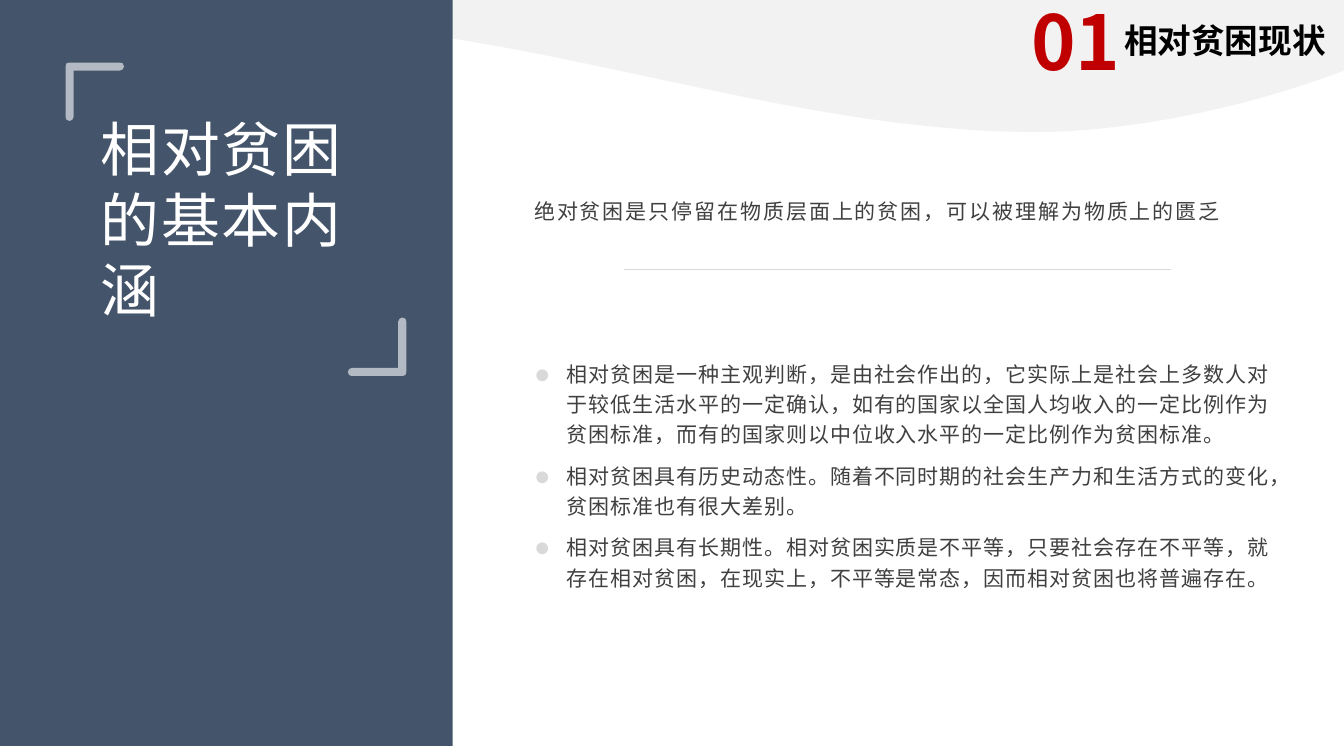
from dataclasses import dataclass
from typing import Optional

import lxml.etree
import pptx
import pptx.dml.color
import pptx.enum.shapes
import pptx.enum.text
import pptx.oxml.ns
import pptx.util
from pptx.util import Inches

COLORS = {
    "wave": "F2F2F2",
    "panel": "44546A",
    "white": "FFFFFF",
    "body": "404040",
    "rule": "D9D9D9",
    "number": "C00000",
    "black": "000000",
}
Point = tuple[float, float]
# A segment holds one point for a straight line, three for a cubic curve.
Segment = tuple[Point, ...]


@dataclass
class TextStyle:
    font: str
    size: float
    color: str
    spacing: float = 0
    bold: bool = False
    line_spacing: float = 1.0
    space_after: float = 0
    centered: bool = False
    bulleted: bool = False


@dataclass
class TextBlock:
    left: float
    top: float
    width: float
    height: float
    paragraphs: list[str]
    style: TextStyle
    middle: bool = False


WAVE: list[Segment] = [
    ((10.19, 1.31),),
    ((11.17, 1.32), (12.36, 1.07), (13.33, 0.7)),
    ((13.33, 0),),
    ((0, 0),),
    ((0, 0.7),),
    ((3.47, -0.64), (6.72, 1.27), (10.19, 1.31)),
]
BRACKET: list[Segment] = [
    ((0.69, 0.62),),
    ((1.19, 0.62),),
    ((1.21, 0.62), (1.23, 0.63), (1.23, 0.66)),
    ((1.23, 0.68), (1.21, 0.7), (1.19, 0.7)),
    ((0.73, 0.7),),
    ((0.73, 1.16),),
    ((0.73, 1.18), (0.71, 1.2), (0.69, 1.2)),
    ((0.66, 1.2), (0.65, 1.18), (0.65, 1.16)),
    ((0.65, 0.66),),
    ((0.65, 0.63), (0.66, 0.62), (0.69, 0.62)),
]
# The closing bracket is the opening one turned by half a circle.
CLOSING_BRACKET: list[Segment] = [
    tuple((4.68 - x, 4.35 - y) for x, y in segment) for segment in BRACKET
]

TITLE = TextBlock(0.9, 0.75, 2.86, 2.84, ["相对贫困的基本内涵"],
                  TextStyle("Arial", 42, "white", spacing=1.2, space_after=8), middle=True)
TEXT_BLOCKS = [
    TextBlock(5.2, 0.65, 7.6, 2.83,
              ["绝对贫困是只停留在物质层面上的贫困，可以被理解为物质上的匮乏"],
              TextStyle("Arial", 15, "body", spacing=1.4, line_spacing=1.2, space_after=8),
              middle=True),
    TextBlock(5.2, 3.28, 7.6, 2.83,
              ["相对贫困是一种主观判断，是由社会作出的，它实际上是社会上多数人对于较低生活水平的一定确认，"
               "如有的国家以全国人均收入的一定比例作为贫困标准，而有的国家则以中位收入水平的一定比例作为贫困标准。",
               "相对贫困具有历史动态性。随着不同时期的社会生产力和生活方式的变化，贫困标准也有很大差别。",
               "相对贫困具有长期性。相对贫困实质是不平等，只要社会存在不平等，就存在相对贫困，"
               "在现实上，不平等是常态，因而相对贫困也将普遍存在。"],
              TextStyle("Arial", 15, "body", spacing=0.7, line_spacing=1.2, space_after=8,
                        bulleted=True),
              middle=True),
    TextBlock(9.99, -0.1, 1.36, 1.01, ["01"],
              TextStyle("Noto Sans CJK SC", 54, "number", bold=True, centered=True)),
    TextBlock(11.05, 0.15, 2.54, 0.5, ["相对贫困现状"],
              TextStyle("Noto Sans CJK SC", 24, "black", bold=True)),
]


def rgb(name: str) -> pptx.dml.color.RGBColor:
    return pptx.dml.color.RGBColor.from_string(COLORS[name])


def add_child(parent, tag: str, **attributes: str):
    child = lxml.etree.SubElement(parent, pptx.oxml.ns.qn(tag))
    for name, value in attributes.items():
        child.set(name, value)
    return child


def fill_plain(shape, color: str, opacity: Optional[int] = None) -> None:
    shape.shadow.inherit = False
    shape.fill.solid()
    shape.fill.fore_color.rgb = rgb(color)
    shape.line.fill.background()
    if opacity is not None:
        color_element = next(shape.element.iter(pptx.oxml.ns.qn("a:srgbClr")))
        add_child(color_element, "a:alpha", val=str(opacity * 1000))


def add_outline(slide, outline: list[Segment], color: str,
                opacity: Optional[int] = None) -> None:
    ends = [(Inches(segment[-1][0]), Inches(segment[-1][1])) for segment in outline]
    builder = slide.shapes.build_freeform(*ends[0])
    builder.add_line_segments(ends[1:], close=True)
    shape = builder.convert_to_shape()
    fill_plain(shape, color, opacity)

    # Turn the straight steps of curved segments into cubic curves
    steps = list(shape.element.iter(pptx.oxml.ns.qn("a:lnTo")))
    for step, segment in zip(steps, outline[1:]):
        if len(segment) == 3:
            curve = add_child(step.getparent(), "a:cubicBezTo")
            for x, y in segment:
                add_child(curve, "a:pt", x=str(Inches(x) - shape.left),
                          y=str(Inches(y) - shape.top))
            step.getparent().replace(step, curve)


def format_paragraph(paragraph, style: TextStyle) -> None:
    properties = paragraph._p.get_or_add_pPr()
    if style.bulleted:
        properties.set("marL", str(Inches(0.32)))
        properties.set("indent", str(Inches(-0.32)))
        add_child(add_child(properties, "a:buClr"), "a:srgbClr", val=COLORS["rule"])
        add_child(properties, "a:buSzPct", val="130000")
        add_child(properties, "a:buFont", typeface=style.font)
        add_child(properties, "a:buChar", char="●")
    alignments = pptx.enum.text.PP_ALIGN
    paragraph.alignment = alignments.CENTER if style.centered else alignments.LEFT
    paragraph.line_spacing = style.line_spacing
    paragraph.space_after = pptx.util.Pt(style.space_after)
    for run in paragraph.runs:
        run.font.name = style.font
        run.font.size = pptx.util.Pt(style.size)
        run.font.bold = style.bold
        run.font.color.rgb = rgb(style.color)
        run_properties = run._r.get_or_add_rPr()
        run_properties.set("spc", str(round(style.spacing * 100)))
        add_child(run_properties, "a:ea", typeface=style.font)


def write_block(shape, block: TextBlock) -> None:
    shape.left, shape.top = Inches(block.left), Inches(block.top)
    shape.width, shape.height = Inches(block.width), Inches(block.height)
    frame = shape.text_frame
    frame.text = "\n".join(block.paragraphs)
    frame.word_wrap = True
    frame.auto_size = pptx.enum.text.MSO_AUTO_SIZE.NONE
    anchors = pptx.enum.text.MSO_ANCHOR
    frame.vertical_anchor = anchors.MIDDLE if block.middle else anchors.TOP
    for paragraph in frame.paragraphs:
        format_paragraph(paragraph, block.style)


def main() -> None:
    presentation = pptx.Presentation()
    presentation.slide_width, presentation.slide_height = Inches(13.33), Inches(7.5)
    slide = presentation.slides.add_slide(presentation.slide_layouts.get_by_name("Title Only"))
    shapes = slide.shapes

    # Background wave and side panel
    add_outline(slide, WAVE, "wave")
    panel = shapes.add_shape(pptx.enum.shapes.MSO_SHAPE.RECTANGLE,
                             Inches(-0.19), Inches(-0.1), Inches(4.68), Inches(7.5))
    fill_plain(panel, "panel")

    # Title between its brackets, brought in front of the panel
    for bracket in (BRACKET, CLOSING_BRACKET):
        add_outline(slide, bracket, "white", opacity=60)
    write_block(shapes.title, TITLE)
    shapes.title.element.getparent().append(shapes.title.element)

    # Rule between definition and list
    rule = shapes.add_connector(pptx.enum.shapes.MSO_CONNECTOR.STRAIGHT,
                                Inches(6.19), Inches(2.67), Inches(11.61), Inches(2.67))
    rule.line.color.rgb = rgb("rule")
    rule.line.width = pptx.util.Pt(0.5)
    add_child(rule.element.spPr, "a:effectLst")

    # Definition, list and section heading
    for block in TEXT_BLOCKS:
        write_block(shapes.add_textbox(0, 0, 0, 0), block)

    presentation.save("out.pptx")


if __name__ == "__main__":
    main()
